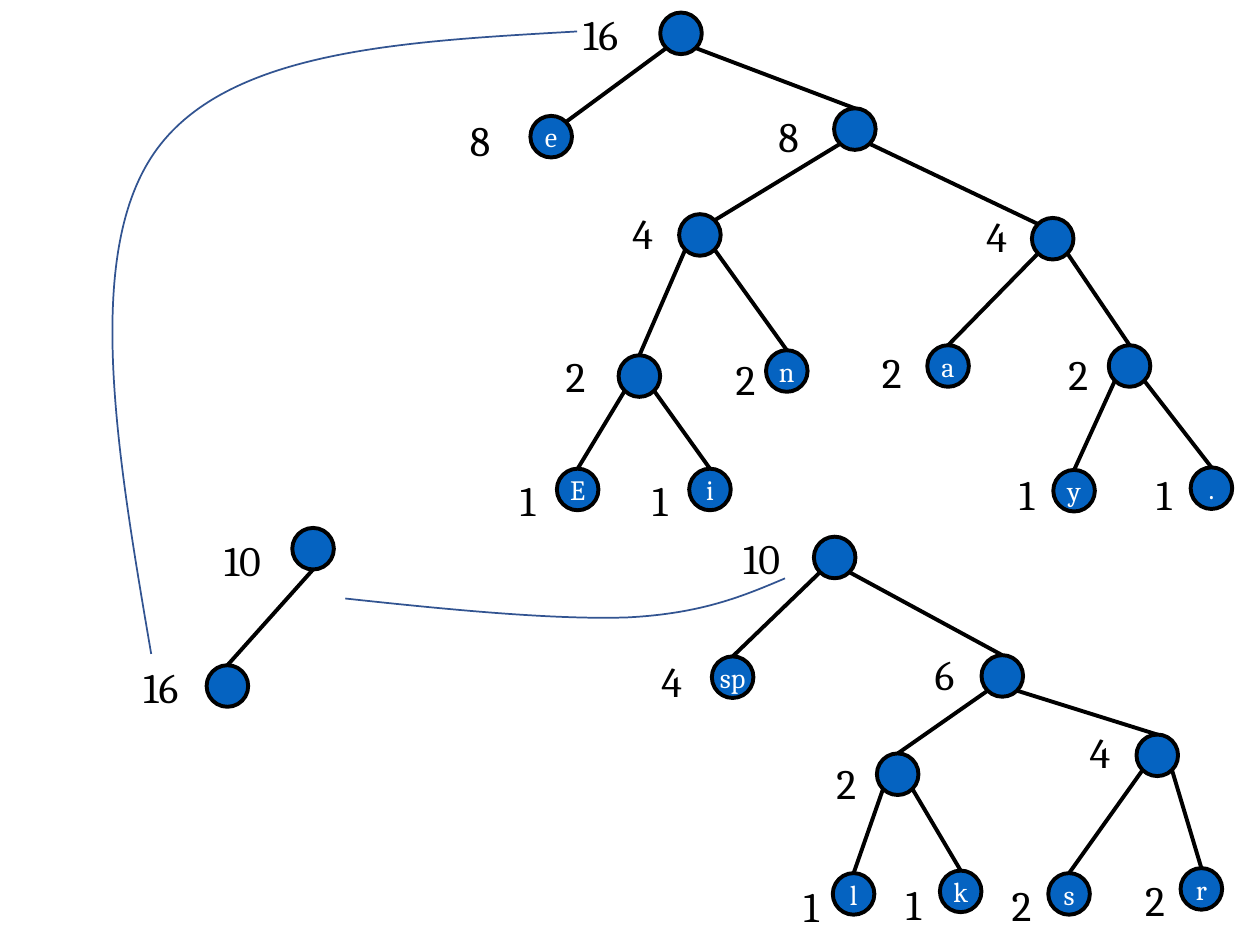
"""Build a slide that joins two Huffman subtrees under a new root."""
from lxml.etree import SubElement
from pptx import Presentation
from pptx.dml.color import RGBColor
from pptx.enum.shapes import MSO_CONNECTOR, MSO_SHAPE
from pptx.enum.text import MSO_ANCHOR, MSO_AUTO_SIZE, PP_ALIGN
from pptx.oxml.ns import qn
from pptx.util import Inches, Pt

SIZE = 0.33
CORNER = SIZE / 2 * 0.7071
FONT = "Cambria"
BLUE, BLACK, WHITE, CURVE_BLUE = "0563C1", "000000", "FFFFFF", "325491"
OFFSETS = {
    "top": (0, -SIZE / 2), "bottom": (0, SIZE / 2),
    "top left": (-CORNER, -CORNER), "top right": (CORNER, -CORNER),
    "bottom left": (-CORNER, CORNER), "bottom right": (CORNER, CORNER),
}

# node: left, top, letter, weight, weight left, weight top, parent, side joined
JOINED_TREE = [
    (2.32, 4.19, "", "10", 1.68, 4.19, None, "top"),
    (1.64, 5.28, "", "16", 1.04, 5.20, 0, "top"),
]
SIXTEEN_TREE = [
    (5.24, 0.10, "", "16", 4.53, 0.02, None, "top"),
    (4.21, 0.92, "e", "8", 3.63, 0.86, 0, "top right"),
    (6.62, 0.86, "", "8", 6.08, 0.83, 0, "top"),
    (5.39, 1.70, "", "4", 4.92, 1.60, 2, "top right"),
    (8.19, 1.73, "", "4", 7.73, 1.62, 2, "top left"),
    (4.91, 2.82, "", "2", 4.39, 2.73, 3, "top"),
    (6.08, 2.78, "n", "2", 5.74, 2.76, 3, "top"),
    (7.36, 2.74, "a", "2", 6.90, 2.70, 4, "top"),
    (8.80, 2.74, "", "2", 8.38, 2.72, 4, "top"),
    (4.42, 3.72, "E", "1", 4.03, 3.72, 5, "top"),
    (5.47, 3.72, "i", "1", 5.08, 3.72, 5, "top"),
    (8.36, 3.73, "y", "1", 7.99, 3.67, 8, "top"),
    (9.45, 3.71, ".", "1", 9.08, 3.67, 8, "top"),
]
TEN_TREE = [
    (6.46, 4.26, "", "10", 5.80, 4.18, None, "top"),
    (5.65, 5.21, "sp", "4", 5.15, 5.15, 0, "top"),
    (7.79, 5.20, "", "6", 7.32, 5.10, 0, "top"),
    (6.96, 5.98, "", "2", 6.54, 5.96, 2, "top"),
    (9.02, 5.83, "", "4", 8.55, 5.72, 2, "top"),
    (6.61, 6.93, "l", "1", 6.28, 6.94, 3, "top"),
    (7.46, 6.91, "k", "1", 7.09, 6.92, 3, "top"),
    (8.32, 6.93, "s", "2", 7.93, 6.93, 4, "top"),
    (9.37, 6.89, "r", "2", 8.99, 6.89, 4, "top"),
]
# curve: box corners, start, then two Bezier pieces of three points
CURVES = [
    ((2.74, 4.59), (6.23, 4.90), (6.23, 4.59),
     [[(5.90, 4.73), (5.57, 4.87), (4.98, 4.90)],
      [(4.40, 4.92), (3.57, 4.84), (2.74, 4.75)]]),
    ((0.89, 0.25), (4.58, 5.19), (4.58, 0.25),
     [[(3.18, 0.33), (1.78, 0.40), (1.22, 1.22)],
      [(0.66, 2.04), (0.93, 3.61), (1.20, 5.19)]]),
]
LETTER_FRAME = {"word_wrap": False, "vertical_anchor": MSO_ANCHOR.MIDDLE}
WEIGHT_FRAME = {"word_wrap": False, "auto_size": MSO_AUTO_SIZE.SHAPE_TO_FIT_TEXT}


def rgb(color):
    return RGBColor.from_string(color)


def set_line(line, color, width):
    line.color.rgb = rgb(color)
    line.width = Pt(width)


def write(shape, text, frame_format, size, color, align):
    frame = shape.text_frame
    for name, value in frame_format.items():
        setattr(frame, name, value)
    paragraph = frame.paragraphs[0]
    paragraph.alignment = align
    run = paragraph.add_run()
    run.text = text
    for name, value in {"name": FONT, "size": Pt(size)}.items():
        setattr(run.font, name, value)
    run.font.color.rgb = rgb(color)


def joint(node, side):
    dx, dy = OFFSETS[side]
    return Inches(node[0] + SIZE / 2 + dx), Inches(node[1] + SIZE / 2 + dy)


def add_node(shapes, left, top, letter):
    circle = shapes.add_shape(MSO_SHAPE.OVAL, Inches(left), Inches(top), Inches(SIZE), Inches(SIZE))
    circle.shadow.inherit = False
    circle.fill.solid()
    circle.fill.fore_color.rgb = rgb(BLUE)
    set_line(circle.line, BLACK, 2.25)
    if letter:
        write(circle, letter, LETTER_FRAME, 16, WHITE, PP_ALIGN.CENTER)
    return circle


def add_weight(shapes, weight, left, top):
    width = 0.21 + 0.18 * len(weight)
    label = shapes.add_textbox(Inches(left), Inches(top), Inches(width), Inches(0.5))
    write(label, weight, WEIGHT_FRAME, 24, BLACK, PP_ALIGN.LEFT)


def add_tree(shapes, tree):
    circles = [add_node(shapes, *node[:3]) for node in tree]
    only_child = len(tree) == 2
    for node, circle in zip(tree, circles):
        weight, weight_left, weight_top, parent, side = node[3:]
        add_weight(shapes, weight, weight_left, weight_top)
        if parent is None:
            continue
        direction = " left" if node[0] < tree[parent][0] else " right"
        parent_side = "bottom" if only_child else "bottom" + direction
        branch = shapes.add_connector(
            MSO_CONNECTOR.STRAIGHT, *joint(node, side), *joint(tree[parent], parent_side))
        if side == "top":
            branch.begin_connect(circle, 0)
        set_line(branch.line, BLACK, 2.25)
        SubElement(branch._element.spPr, qn("a:effectLst"))


def add_curve(shapes, corner, far_corner, start, pieces):
    builder = shapes.build_freeform(*map(Inches, corner))
    builder.add_line_segments([tuple(map(Inches, far_corner))], close=False)
    curve = builder.convert_to_shape()
    curve.shadow.inherit = False
    curve.fill.background()
    set_line(curve.line, CURVE_BLUE, 1)
    outline = curve._element.xpath(".//a:path")[0]
    for step in list(outline):
        outline.remove(step)
    for tag, points in [("a:moveTo", [start])] + [("a:cubicBezTo", piece) for piece in pieces]:
        step = SubElement(outline, qn(tag))
        for x, y in points:
            SubElement(step, qn("a:pt"), x=str(Inches(x - corner[0])), y=str(Inches(y - corner[1])))


def main():
    presentation = Presentation()
    presentation.slide_width, presentation.slide_height = Inches(10), Inches(7.5)
    slide = presentation.slides.add_slide(presentation.slide_layouts[6])
    add_tree(slide.shapes, JOINED_TREE)
    for curve in CURVES:
        add_curve(slide.shapes, *curve)
    for tree in (SIXTEEN_TREE, TEN_TREE):
        add_tree(slide.shapes.add_group_shape().shapes, tree)
    presentation.save("out.pptx")


if __name__ == "__main__":
    main()
